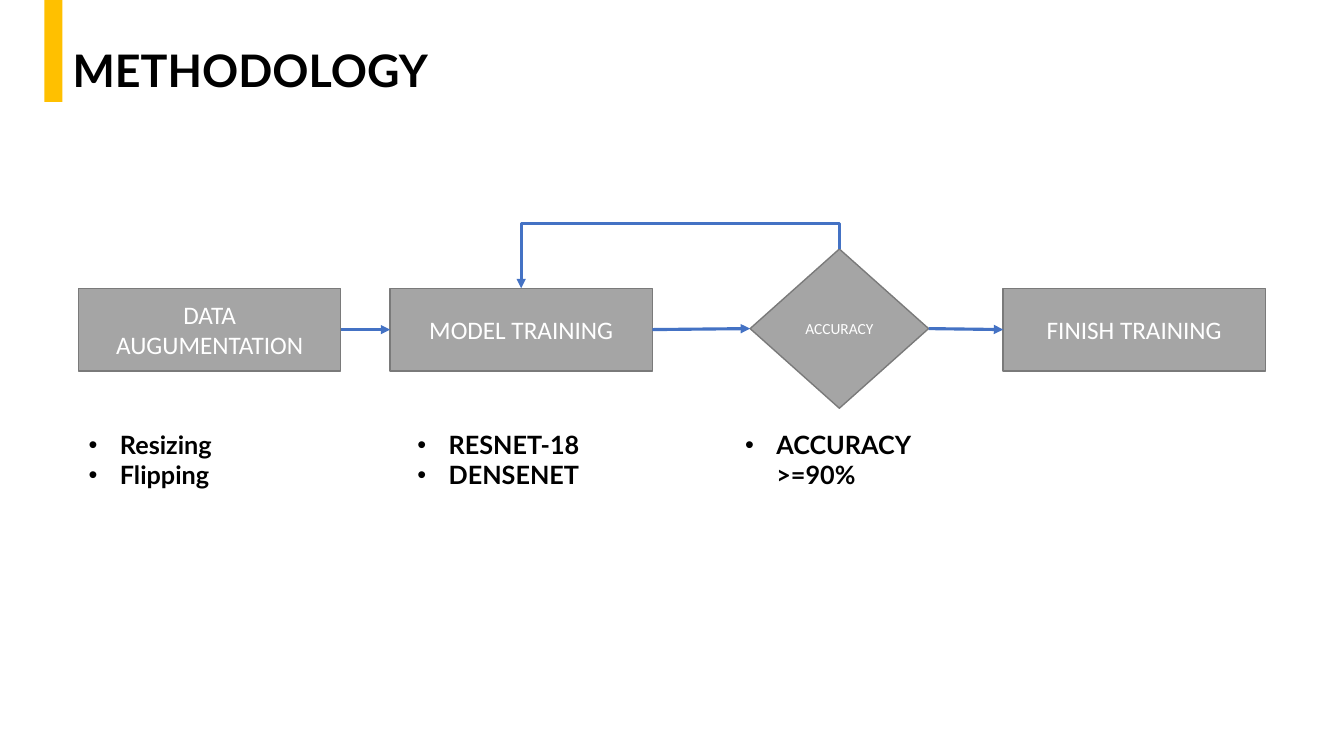
import dataclasses

import lxml.etree
import pptx
import pptx.dml.color
import pptx.enum.shapes
import pptx.enum.text
import pptx.oxml.ns
import pptx.util

PX = 9144  # EMU per px, 100 px to the inch
TOP, LEFT, RIGHT = 0, 1, 3  # connection sites
SHAPE = pptx.enum.shapes.MSO_SHAPE
CONNECTOR = pptx.enum.shapes.MSO_CONNECTOR
ALIGN = pptx.enum.text.PP_ALIGN
ANCHOR = pptx.enum.text.MSO_ANCHOR
FIT = pptx.enum.text.MSO_AUTO_SIZE.SHAPE_TO_FIT_TEXT


@dataclasses.dataclass(frozen=True)
class Theme:
    accent: str = "FFC000"
    step: str = "A5A5A5"
    step_edge: str = "7A7A7A"
    arrow: str = "4472C4"
    ink: str = "000000"
    light: str = "FFFFFF"
    heading_font: str = "Lato"
    step_font: str = "Calibri"
    title_size: int = 32
    text_size: int = 18
    decision_size: int = 11
    edge_width: float = 1
    arrow_width: float = 2.25


THEME = Theme()


def rgb(value):
    return pptx.dml.color.RGBColor.from_string(value)


def apply(target, values):
    for name, value in values.items():
        setattr(target, name, value)


def place(shape, left, top, width, height):
    apply(shape, {"left": left * PX, "top": top * PX,
                  "width": width * PX, "height": height * PX})


def add_child(parent, tag, **attributes):
    child = lxml.etree.SubElement(parent, pptx.oxml.ns.qn(tag))
    for name, value in attributes.items():
        child.set(name, value)
    return child


def write(paragraph, text, align, font, size, color, bold):
    apply(paragraph, {"alignment": align, "line_spacing": 1.0,
                      "space_before": 0, "space_after": 0})
    run = paragraph.add_run()
    run.text = text
    apply(run.font, {"name": font, "size": pptx.util.Pt(size), "bold": bold})
    run.font.color.rgb = rgb(color)


def add_block(slide, kind, box, fill, edge=None):
    block = slide.shapes.add_shape(kind, *(length * PX for length in box))
    block.shadow.inherit = False
    block.fill.solid()
    block.fill.fore_color.rgb = rgb(fill)
    if edge:
        block.line.color.rgb = rgb(edge)
        block.line.width = pptx.util.Pt(THEME.edge_width)
    else:
        block.line.fill.background()
    return block


def add_step(slide, kind, box, label, size):
    step = add_block(slide, kind, box, THEME.step, THEME.step_edge)
    apply(step.text_frame, {"word_wrap": True, "vertical_anchor": ANCHOR.MIDDLE})
    write(step.text_frame.paragraphs[0], label, ALIGN.CENTER,
          THEME.step_font, size, THEME.light, False)
    return step


def add_arrow(slide, kind, source, source_site, target, target_site):
    arrow = slide.shapes.add_connector(kind, 0, 0, 0, 0)
    arrow.begin_connect(source, source_site)
    arrow.end_connect(target, target_site)
    arrow.line.color.rgb = rgb(THEME.arrow)
    arrow.line.width = pptx.util.Pt(THEME.arrow_width)
    add_child(arrow.line._get_or_add_ln(), "a:tailEnd", type="triangle")
    add_child(arrow._element.spPr, "a:effectLst")
    return arrow


def route_over(arrow, rise):
    """Turn an elbow arrow so that it leaves and enters from above."""
    span, drop = arrow.width, arrow.height
    middle_x, middle_y = arrow.left + span // 2, arrow.top + drop // 2
    apply(arrow, {"left": middle_x - drop // 2, "top": middle_y - span // 2,
                  "width": drop, "height": span})
    properties = arrow._element.spPr
    for name, value in {"rot": "16200000", "flipH": "1", "flipV": "1"}.items():
        properties.xfrm.set(name, value)
    adjustments = properties.find(".//" + pptx.oxml.ns.qn("a:avLst"))
    bend = -round(rise * PX / drop * 100000)
    add_child(adjustments, "a:gd", name="adj1", fmla=f"val {bend}")


def fill_placeholder(holder, box, lines, size, bulleted):
    place(holder, *box)
    frame = holder.text_frame
    apply(frame, {"word_wrap": True, "auto_size": FIT, "vertical_anchor": ANCHOR.TOP})
    for index, line in enumerate(lines):
        paragraph = frame.add_paragraph() if index else frame.paragraphs[0]
        if bulleted:
            properties = paragraph._p.get_or_add_pPr()
            properties.set("marL", str(31 * PX))
            properties.set("indent", str(-31 * PX))
            add_child(properties, "a:buFont", typeface="Arial")
            add_child(properties, "a:buChar", char="•")
        write(paragraph, line, ALIGN.LEFT, THEME.heading_font, size, THEME.ink, True)


def main():
    deck = pptx.Presentation()
    apply(deck, {"slide_width": 1333 * PX, "slide_height": 750 * PX})
    slide = deck.slides.add_slide(deck.slide_layouts.get_by_name("Comparison"))

    # Heading
    add_block(slide, SHAPE.RECTANGLE, (44, -8, 18, 109), THEME.accent)
    fill_placeholder(slide.shapes.title, (62, 37, 400, 64), ["METHODOLOGY"],
                     THEME.title_size, False)

    # Process steps
    augmentation, training, finish = [
        add_step(slide, SHAPE.RECTANGLE, (left, 286, 260, 82), label, THEME.text_size)
        for left, label in [(78, "DATA AUGUMENTATION"), (387, "MODEL TRAINING"),
                            (995, "FINISH TRAINING")]
    ]
    accuracy = add_step(slide, SHAPE.DIAMOND, (744, 247, 177, 158), "ACCURACY",
                        THEME.decision_size)

    # Flow and feedback loop
    flow = [augmentation, training, accuracy, finish]
    for source, target in zip(flow, flow[1:]):
        add_arrow(slide, CONNECTOR.STRAIGHT, source, RIGHT, target, LEFT)
    feedback = add_arrow(slide, CONNECTOR.ELBOW, accuracy, TOP, training, TOP)
    route_over(feedback, 25)

    # Notes under the steps
    bodies = list(slide.placeholders)[1:]
    details = [(78, 71, ["Resizing", "Flipping"]),
               (404, 71, ["RESNET-18", "DENSENET"]),
               (729, 40, ["ACCURACY >=90%"])]
    for body, (left, height, lines) in zip(bodies, details):
        fill_placeholder(body, (left, 421, 260, height), lines, THEME.text_size, True)
    for unused in bodies[len(details):]:
        unused._element.getparent().remove(unused._element)

    deck.save("out.pptx")


if __name__ == "__main__":
    main()
